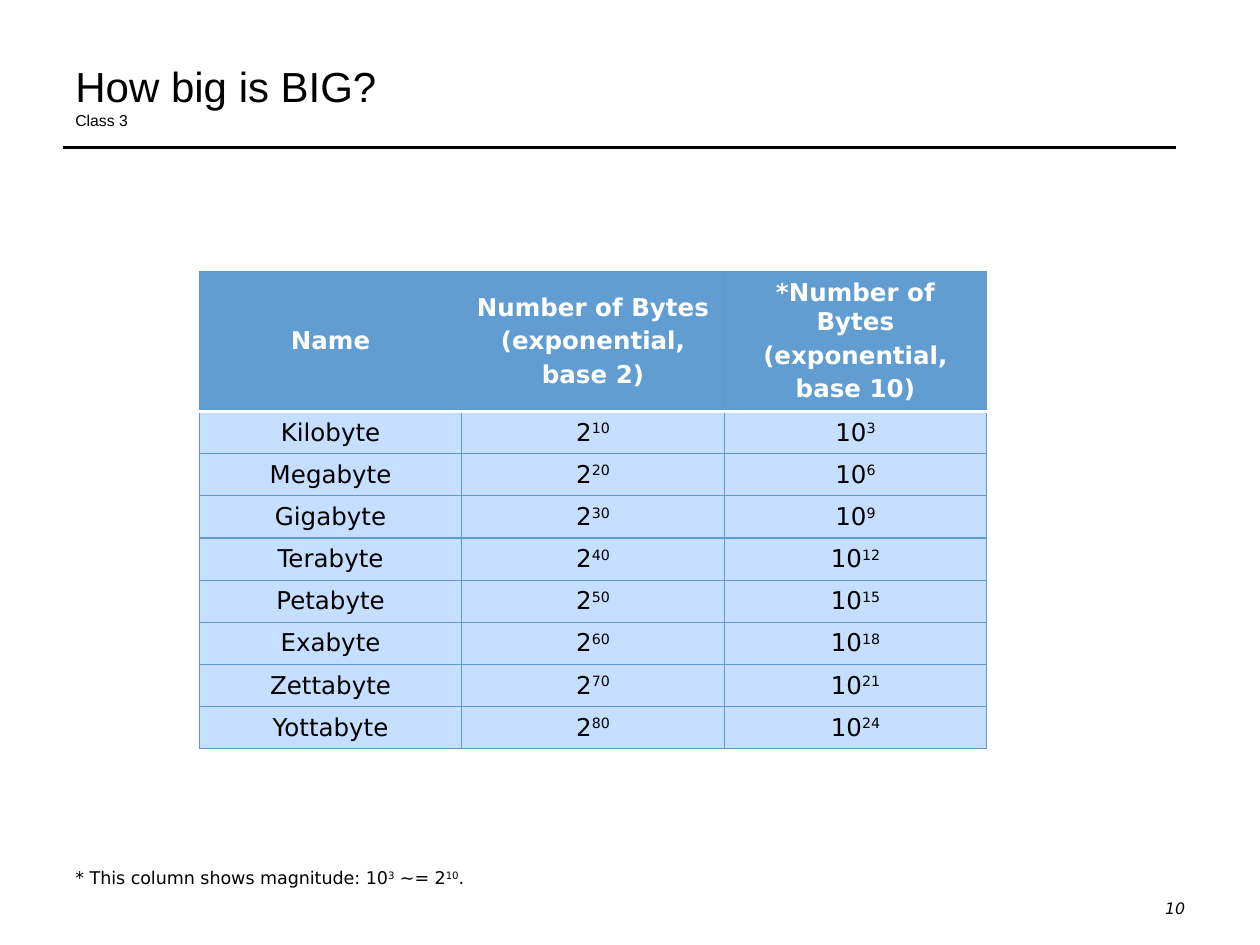
"""Build the slide that compares the sizes of byte units."""
from lxml.etree import SubElement
from pptx import Presentation
from pptx.dml.color import RGBColor
from pptx.enum.shapes import MSO_CONNECTOR
from pptx.enum.text import MSO_ANCHOR, PP_ALIGN
from pptx.oxml.ns import qn
from pptx.util import Cm, Pt


def color(hex_string):
    return RGBColor.from_string(hex_string)


def write(tf, text, size=14, font="DejaVu Sans", fill="000000", bold=False,
          italic=False, align=PP_ALIGN.LEFT, gap=0):
    """Add a paragraph per line; text between carets is superscript."""
    tf.word_wrap = True
    for line in text.split("\n"):
        first = not tf.text
        p = tf.paragraphs[0] if first else tf.add_paragraph()
        p.alignment = align
        p.space_before = Pt(0 if first else gap)
        for i, part in enumerate(line.split("^")):
            if not part:
                continue
            r = p.add_run()
            r.text = part
            r.font.name, r.font.size = font, Pt(size)
            r.font.bold, r.font.italic = bold, italic
            r.font.color.rgb = color(fill)
            if i % 2:
                r._r.get_or_add_rPr().set("baseline", "30000")


prs = Presentation()
prs.slide_width, prs.slide_height = Cm(25.4), Cm(19.05)
s = prs.slides.add_slide(prs.slide_layouts[6])

rule = s.shapes.add_connector(MSO_CONNECTOR.STRAIGHT, Cm(1.27), Cm(2.97), Cm(23.7), Cm(2.97))
rule.line.color.rgb = color("000000")
rule.line.width = Pt(1.5)
SubElement(rule._element.spPr, qn("a:effectLst"))

tf = s.shapes.add_textbox(Cm(18.21), Cm(17.98), Cm(5.93), Cm(0.64)).text_frame
tf.vertical_anchor = MSO_ANCHOR.MIDDLE
write(tf, "10", size=9, italic=True, align=PP_ALIGN.RIGHT)

tf = s.shapes.add_textbox(Cm(1.27), Cm(0.76), Cm(22.86), Cm(1.98)).text_frame
tf.vertical_anchor = MSO_ANCHOR.BOTTOM
write(tf, "How big is BIG?", size=24, font="Arial")
write(tf, "Class 3", size=9, font="Arial")

names = ["Kilo", "Mega", "Giga", "Tera", "Peta", "Exa", "Zetta", "Yotta"]
rows = [["Name", "Number of Bytes\n(exponential,\nbase 2)",
         "*Number of Bytes\n(exponential,\nbase 10)"]]
rows += [[f"{name}byte", f"2^{10 * n}^", f"10^{3 * n}^"] for n, name in enumerate(names, 1)]

table = s.shapes.add_table(len(rows), 3, Cm(4.02), Cm(5.47), Cm(15.87), Cm(9.56)).table
table.horz_banding = False
for col in table.columns:
    col.width = Cm(5.29)
for i, row in enumerate(rows):
    head = i == 0
    table.rows[i].height = Cm(2.78 if head else 0.85)
    for j, text in enumerate(row):
        cell = table.cell(i, j)
        cell.vertical_anchor = MSO_ANCHOR.MIDDLE
        for side in "LRTB":
            white = (i, side) in [(0, "B"), (1, "T")]
            ln = SubElement(cell._tc.get_or_add_tcPr(), qn(f"a:ln{side}"),
                            w=str(Pt(2 if white else 0.75)))
            SubElement(SubElement(ln, qn("a:solidFill")), qn("a:srgbClr"),
                       val="FFFFFF" if white else "5D9ACF")
        cell.fill.solid()
        cell.fill.fore_color.rgb = color("629DD1" if head else "C6DEFF")
        write(cell.text_frame, text, bold=head, fill="FFFFFF" if head else "000000",
              align=PP_ALIGN.CENTER, gap=2.8)

tf = s.shapes.add_textbox(Cm(1.27), Cm(17.35), Cm(22.86), Cm(0.69)).text_frame
write(tf, "* This column shows magnitude: 10^3^ ~= 2^10^.", size=10)

prs.save("out.pptx")
